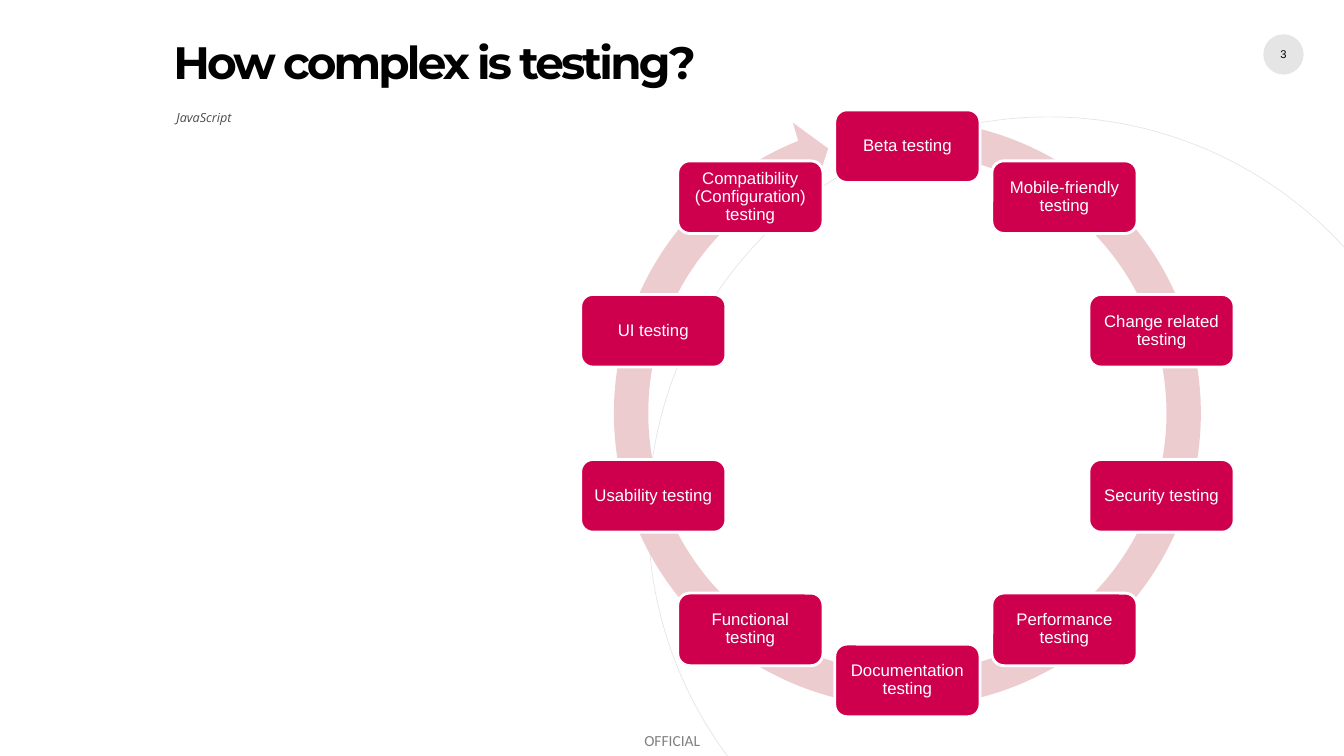
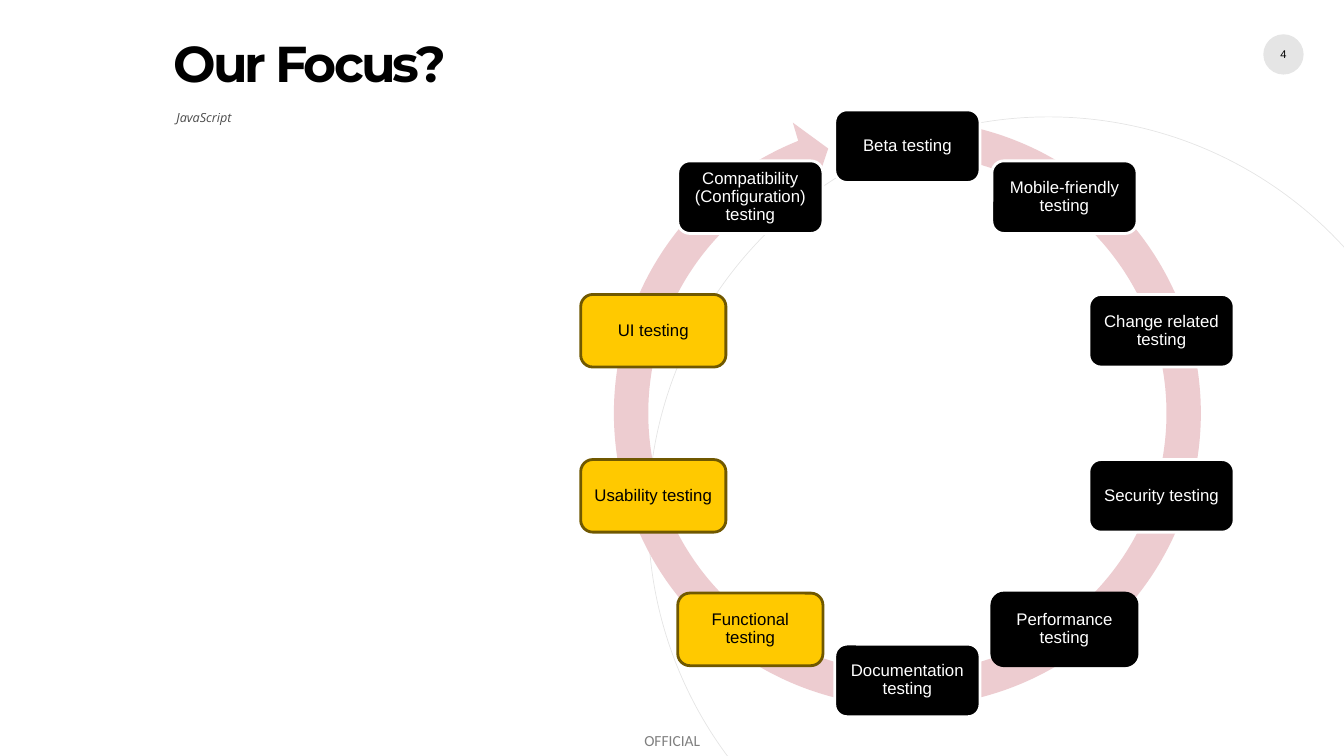
from math import cos, radians, sin

from pptx import Presentation
from pptx.dml.color import RGBColor
from pptx.enum.shapes import MSO_SHAPE
from pptx.enum.text import MSO_ANCHOR, MSO_AUTO_SIZE, PP_ALIGN
from pptx.oxml.ns import qn
from pptx.util import Inches, Pt

OVAL, ROUND, ARROW = MSO_SHAPE.OVAL, MSO_SHAPE.ROUNDED_RECTANGLE, MSO_SHAPE.CIRCULAR_ARROW
TOP, MIDDLE = MSO_ANCHOR.TOP, MSO_ANCHOR.MIDDLE
LEFT, CENTER = PP_ALIGN.LEFT, PP_ALIGN.CENTER
FIXED = MSO_AUTO_SIZE.NONE

COLORS = {
    "ink": "000000",
    "paper": "FFFFFF",
    "rose": "CE004E",
    "blush": "EDCCD0",
    "gold": "FFC900",
    "bronze": "705800",
}
STYLES = {
    "rose": ("rose", "paper", "paper"),
    "dark": ("ink", "paper", "paper"),
    "edged": ("ink", "ink", "paper"),
    "focus": ("gold", "bronze", "ink"),
}
TESTS = [
    "Beta testing",
    "Mobile-friendly testing",
    "Change related testing",
    "Security testing",
    "Performance testing",
    "Documentation testing",
    "Functional testing",
    "Usability testing",
    "UI testing",
    "Compatibility (Configuration) testing",
]
PICKS = {
    "Performance testing": "edged",
    "Functional testing": "focus",
    "Usability testing": "focus",
    "UI testing": "focus",
}
SLIDES = [
    (3, "How complex is testing?", 32.4, "rose", {}),
    (4, "Our Focus?", 36, "dark", PICKS),
]
RING = (5.9, 1, 6.2, 6.2)


def color(name):
    return RGBColor.from_string(COLORS[name])


def fade(shape, share):
    for node in shape.element.iter(qn("a:srgbClr")):
        alpha = node.makeelement(qn("a:alpha"), {"val": str(share * 1000)})
        node.append(alpha)


def place(shape, box):
    shape.left, shape.top, shape.width, shape.height = map(Inches, box)


def write(shape, text, face, size, tone="ink", align=LEFT, anchor=TOP,
          pad=0, wrap=True, lead=None):
    frame = shape.text_frame
    frame.text = text
    frame.word_wrap = wrap
    frame.auto_size = FIXED
    frame.vertical_anchor = anchor
    frame.margin_left = frame.margin_right = Inches(pad)
    frame.margin_top = frame.margin_bottom = Inches(pad)
    para = frame.paragraphs[0]
    para.alignment = align
    para.line_spacing = lead
    font = para.runs[0].font
    font.name, font.size = face, Pt(size)
    font.color.rgb = color(tone)
    return font


def draw(slide, kind, box, fill=None, line=None, weight=1):
    shape = slide.shapes.add_shape(kind, *map(Inches, box))
    shape.shadow.inherit = False
    if fill:
        shape.fill.solid()
        shape.fill.fore_color.rgb = color(fill)
    else:
        shape.fill.background()
    if line:
        shape.line.color.rgb = color(line)
        shape.line.width = Pt(weight)
    else:
        shape.line.fill.background()
    return shape


def label(slide, box, text, face, size, share):
    shape = slide.shapes.add_textbox(*map(Inches, box))
    font = write(shape, text, face, size)
    fade(shape, share)
    return font


def head(slide, box, text, size):
    left, top, width, height = box
    title = slide.shapes.title
    place(title, (left, top, width, 0.81))
    font = write(title, text, "Montserrat", size, lead=0.75)
    font.bold = True
    font._element.set("spc", "-200")
    sub = (left + 0.03, top + 0.63, 3.29, height - 0.63)
    label(slide, sub, "JavaScript", "Open Sans", 9, 70).italic = True


def base(slide, number):
    label(slide, (6.39, 7.25, 0.59, 0.18), "OFFICIAL", "Calibri", 11, 50)
    fade(draw(slide, OVAL, (6.43, 1.16, 7.94, 7.94), line="ink", weight=0.5), 10)
    badge = draw(slide, OVAL, (12.53, 0.34, 0.4, 0.4), "ink")
    fade(badge, 10)
    write(badge, str(number), "Arial", 8, align=CENTER, anchor=MIDDLE, wrap=False)


def cycle(slide, box, style, picks):
    left, top, width, height = box
    arrow = draw(slide, ARROW, box, "blush")
    turns = [angle * 0.6 for angle in (5.51, 247.85, 279.15)]
    for spot, value in enumerate([5.5 / 100, *turns, 5.8 / 100]):
        arrow.adjustments[spot] = value
    wide, high, radius = 1.44, 0.72, 2.65
    for spot, test in enumerate(TESTS):
        angle = radians(360 * spot / len(TESTS))
        x = left + width / 2 + radius * sin(angle) - wide / 2
        y = top + height / 2 - radius * cos(angle) - high / 2
        fill, line, tone = STYLES[picks.get(test, style)]
        card = draw(slide, ROUND, (x, y, wide, high), fill, line, 2)
        write(card, test, "Arial", 12, tone, CENTER, MIDDLE, 0.05, lead=0.9)


def main():
    prs = Presentation()
    prs.slide_width, prs.slide_height = Inches(13.33), Inches(7.5)
    for number, title, size, style, picks in SLIDES:
        slide = prs.slides.add_slide(prs.slide_layouts[5])
        base(slide, number)
        head(slide, (1.72, 0.46, 5.54, 1.63), title, size)
        cycle(slide, RING, style, picks)
    prs.save("out.pptx")


if __name__ == "__main__":
    main()
